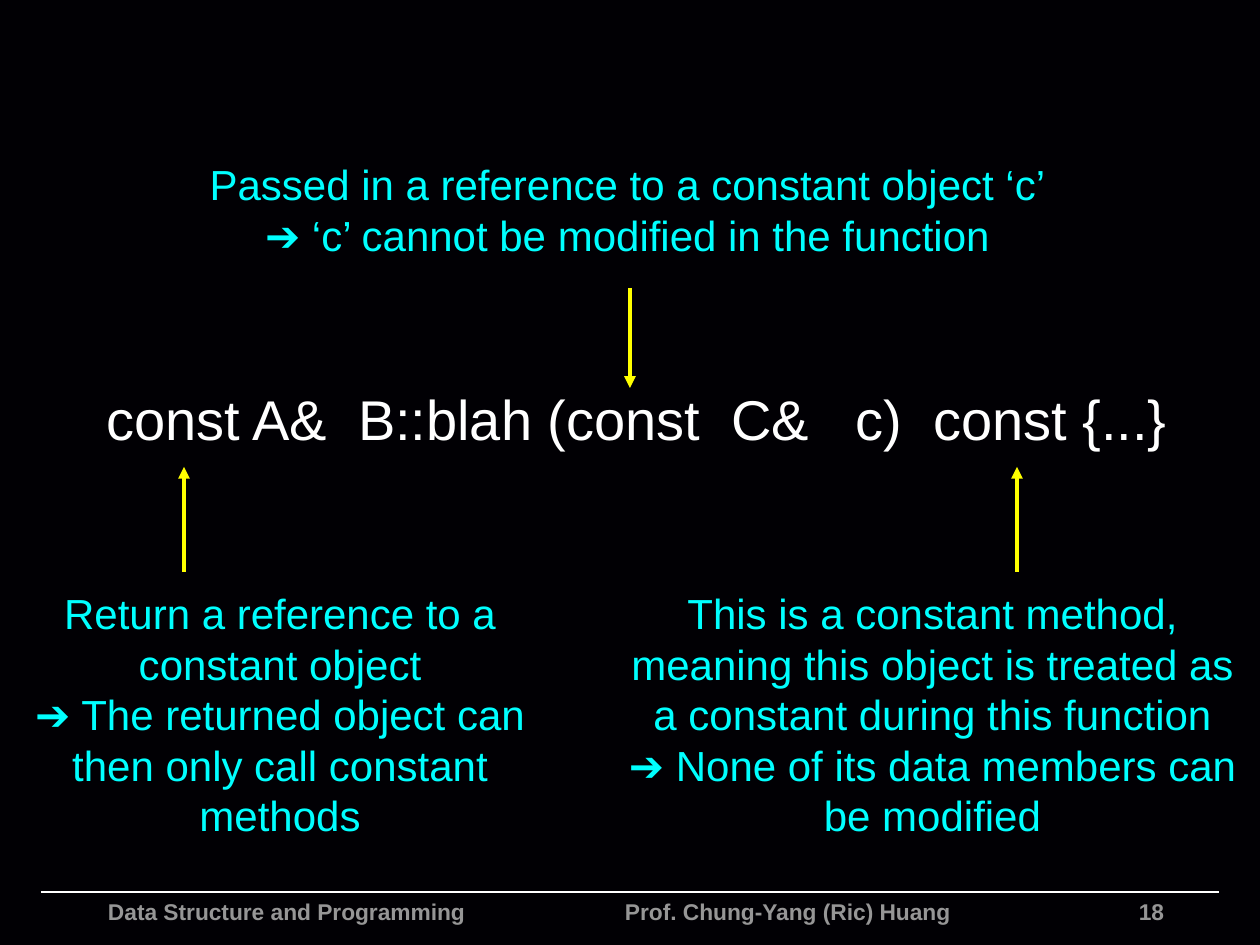
from lxml import etree
from pptx import Presentation
from pptx.dml.color import RGBColor
from pptx.enum import shapes, text
from pptx.oxml.ns import qn
from pptx.util import Emu, Pt

PX = 914400 // 126
FONT = "Arial"
BLACK, WHITE, YELLOW, CYAN, GREY = "010004", "FFFFFF", "FFFF00", "00FFFF", "969696"
LEFT, CENTER, RIGHT = text.PP_ALIGN.LEFT, text.PP_ALIGN.CENTER, text.PP_ALIGN.RIGHT


def px(n):
    """Turn pixels into EMU."""
    return Emu(n * PX)


def color(value):
    """Turn a hex string into a colour."""
    return RGBColor.from_string(value)


def add_text(s, box, lines, size, hue, align=LEFT, bold=False, inset=6, wrap=True):
    """Put one paragraph per line into the box (left, top, width, height)."""
    tf = s.shapes.add_textbox(*map(px, box)).text_frame
    tf.word_wrap = wrap
    tf.margin_left = tf.margin_right = px(inset)
    tf.margin_top = tf.margin_bottom = px(6)
    tf.text = "\n".join(lines)
    for p in tf.paragraphs:
        p.alignment = align
        for r in p.runs:
            r.font.name, r.font.size, r.font.bold = FONT, Pt(size), bold
            r.font.color.rgb = color(hue)


def add_line(s, start, end, hue, width, arrow=False):
    """Draw a straight line, with an arrowhead at its end if asked."""
    line = s.shapes.add_connector(shapes.MSO_CONNECTOR.STRAIGHT, *map(px, start + end))
    line.line.color.rgb = color(hue)
    line.line.width = Pt(width)
    if arrow:
        etree.SubElement(line.line._get_or_add_ln(), qn("a:tailEnd"), type="triangle")
    etree.SubElement(line._element.spPr, qn("a:effectLst"))


def add_note(s, box, lines, start, end, wrap=True):
    """Place an explanation in its box; the arrow points are relative to the box."""
    x, y = box[:2]
    add_line(s, (x + start[0], y + start[1]), (x + end[0], y + end[1]), YELLOW, 2.25, True)
    add_text(s, box, lines, 24, CYAN, CENTER, wrap=wrap)


def add_footer(s, box):
    """Draw the rule with course, lecturer and page number below it."""
    x, y, w, h = box
    add_line(s, (x, y), (x + w, y), WHITE, 1)
    for left, width, label, align in (
        (54, 450, "Data Structure and Programming", LEFT),
        (571, 400, "Prof. Chung-Yang (Ric) Huang", LEFT),
        (1036, 100, "18", RIGHT),
    ):
        add_text(s, (x + left, y, width, h), [label], 13, GREY, align, True, 13)


def build_slide(prs):
    """Build the slide that explains each const in a method signature."""
    s = prs.slides.add_slide(prs.slide_layouts[6])
    s.background.fill.solid()
    s.background.fill.fore_color.rgb = color(BLACK)
    add_footer(s, (41, 892, 1178, 53))
    add_text(s, (93, 379, 1103, 76), ["const A&  B::blah (const  C&   c)  const {...}"],
             32, WHITE, inset=13)
    add_note(s, (203, 153, 849, 113),
             ["Passed in a reference to a constant object ‘c’",
              "➔ ‘c’ cannot be modified in the function"],
             (427, 135), (427, 235), wrap=False)
    add_note(s, (620, 582, 625, 265),
             ["This is a constant method, meaning this object is treated as "
              "a constant during this function",
              "➔ None of its data members can be modified"],
             (397, -10), (397, -115))
    add_note(s, (29, 582, 502, 265),
             ["Return a reference to a constant object",
              "➔ The returned object can then only call constant methods"],
             (155, -10), (155, -115))


prs = Presentation()
prs.slide_width, prs.slide_height = px(1260), px(945)
build_slide(prs)
prs.save("out.pptx")
